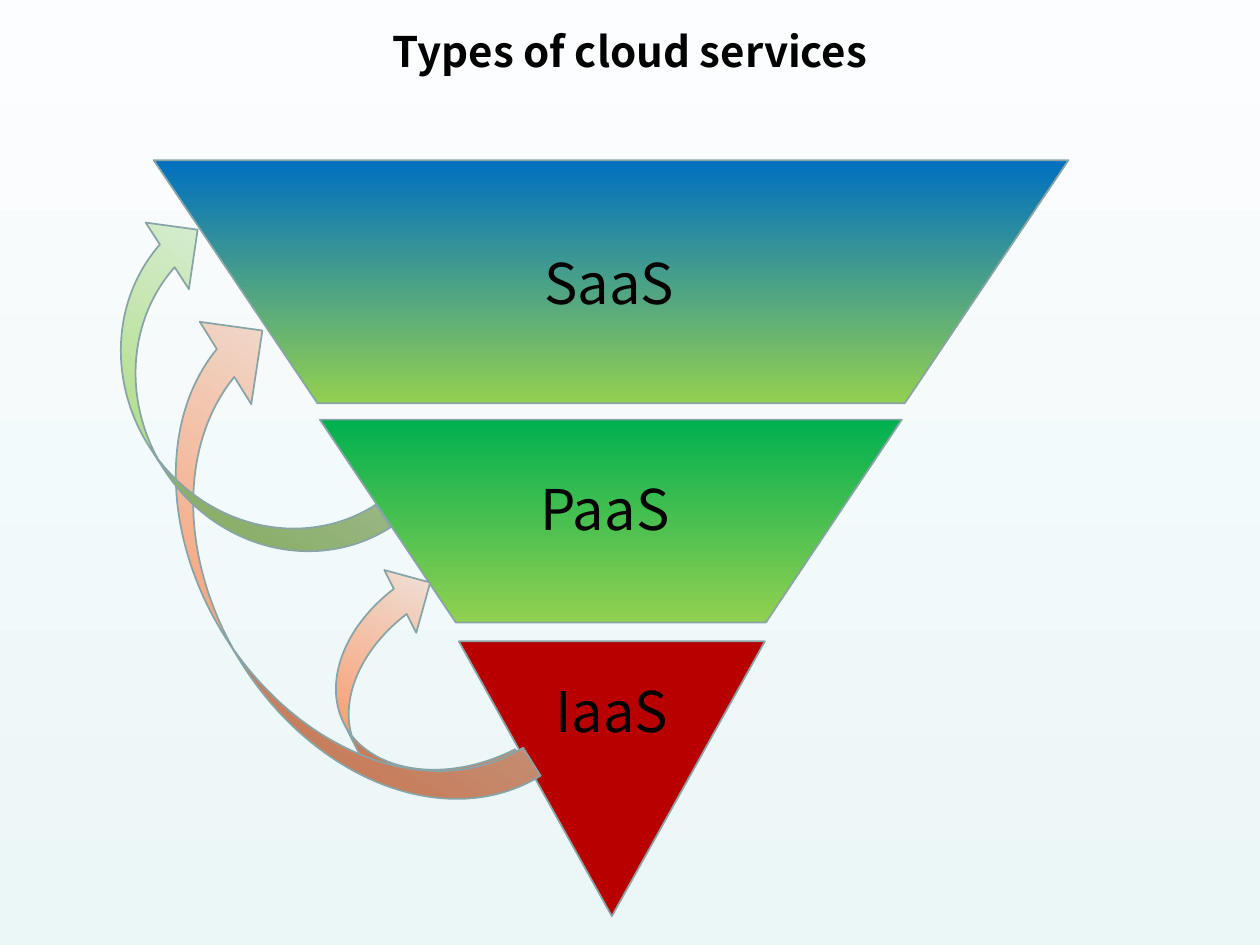
from dataclasses import dataclass

from pptx import Presentation
from pptx.dml.color import RGBColor
from pptx.enum.shapes import MSO_SHAPE
from pptx.enum.text import MSO_ANCHOR, PP_ALIGN
from pptx.util import Cm, Pt


@dataclass(frozen=True)
class Theme:
    """Colours, font and type sizes of the slide."""
    font: str = "Noto Sans CJK SC"
    title_size: int = 24
    label_size: int = 32
    line_width: float = 0.99
    text: str = "000000"
    outline: str = "89A4A7"
    sky: str = "FCFDFE"
    mist: str = "EBF6F7"
    red: str = "B80000"
    orange: str = "FF7434"
    lime: str = "92D050"
    green: str = "00B050"
    blue: str = "0070C0"


THEME = Theme()


def set_gradient(fill, start, end, clockwise_angle):
    """Fill with a two-colour gradient running at a clockwise angle."""
    fill.gradient()
    fill.gradient_angle = (360 - clockwise_angle) % 360
    for stop, colour, position in zip(fill.gradient_stops, (start, end), (0, 1)):
        stop.color.rgb = RGBColor.from_string(colour)
        stop.position = position


def set_outline(shape):
    """Give a shape the common thin outline and no shadow."""
    shape.shadow.inherit = False
    shape.line.color.rgb = RGBColor.from_string(THEME.outline)
    shape.line.width = Pt(THEME.line_width)


def write_text(shape, text, size, bold=False, align=PP_ALIGN.LEFT, anchor=MSO_ANCHOR.TOP):
    """Write one styled run into a shape."""
    frame = shape.text_frame
    frame.word_wrap = True
    frame.vertical_anchor = anchor
    paragraph = frame.paragraphs[0]
    paragraph.alignment = align
    run = paragraph.add_run()
    run.text = text
    run.font.name = THEME.font
    run.font.size = Pt(size)
    run.font.bold = bold
    run.font.color.rgb = RGBColor.from_string(THEME.text)


def add_title(slide, box, text):
    """Place the centred slide title in its box."""
    title = slide.shapes.add_textbox(*map(Cm, box))
    write_text(title, text, THEME.title_size, True, PP_ALIGN.CENTER, MSO_ANCHOR.MIDDLE)


def add_tip(slide, box, text):
    """Place the triangle that forms the lowest layer."""
    tip = slide.shapes.add_shape(MSO_SHAPE.FLOWCHART_MERGE, *map(Cm, box))
    tip.fill.solid()
    tip.fill.fore_color.rgb = RGBColor.from_string(THEME.red)
    set_outline(tip)
    write_text(tip, text, THEME.label_size, align=PP_ALIGN.CENTER, anchor=MSO_ANCHOR.MIDDLE)


def add_layer(slide, box, inset, top_colour):
    """Place a trapezoid whose lower corners are drawn in by the inset."""
    left, top, width, height = box
    right, bottom = left + width, top + height
    corners = [(right, top), (right - inset, bottom), (left + inset, bottom), (left, top)]
    points = [(Cm(x), Cm(y)) for x, y in corners]
    builder = slide.shapes.build_freeform(*points[0], scale=1.0)
    builder.add_line_segments(points[1:], close=True)
    layer = builder.convert_to_shape()
    set_gradient(layer.fill, THEME.lime, top_colour, 270)
    set_outline(layer)


def add_label(slide, box, text):
    """Place the name of a layer."""
    label = slide.shapes.add_textbox(*map(Cm, box))
    write_text(label, text, THEME.label_size)


def add_arrow(slide, box, rotation, shaft, colour):
    """Place a curved arrow leading from one layer up to another."""
    arrow = slide.shapes.add_shape(MSO_SHAPE.CURVED_LEFT_ARROW, *map(Cm, box))
    arrow.rotation = rotation
    for index, value in enumerate((shaft, 0.5, 0.25)):
        arrow.adjustments[index] = value
    page_angle = 450 - rotation
    set_gradient(arrow.fill, colour, THEME.mist, page_angle - rotation)
    set_outline(arrow)


def build_pyramid_slide(presentation):
    """Build the inverted pyramid of cloud services."""
    slide = presentation.slides.add_slide(presentation.slide_layouts[6])
    set_gradient(slide.background.fill, THEME.sky, THEME.mist, 90)
    add_title(slide, (1.27, 0.15, 22.86, 1.73), "Types of cloud services")

    add_tip(slide, (9.25, 12.93, 6.17, 5.54), "IaaS")
    add_layer(slide, (6.45, 8.46, 11.73, 4.09), 2.74, THEME.green)
    add_layer(slide, (3.1, 3.23, 18.44, 4.9), 3.3, THEME.blue)
    add_label(slide, (10.64, 9.45, 3.2, 1.63), "PaaS")
    add_label(slide, (10.72, 4.88, 3.2, 1.63), "SaaS")

    arrows = [
        ((6.81, 11.48, 2.84, 5.05), 153, 0.2, THEME.orange),
        ((4.22, 5.99, 3.91, 11.56), 148, 0.17, THEME.orange),
        ((2.77, 4.19, 3.2, 7.95), 147, 0.17, THEME.lime),
    ]
    for arrow in arrows:
        add_arrow(slide, *arrow)


def main():
    """Create and save the presentation."""
    presentation = Presentation()
    presentation.slide_width, presentation.slide_height = Cm(25.4), Cm(19.05)
    build_pyramid_slide(presentation)
    presentation.save("out.pptx")


main()
